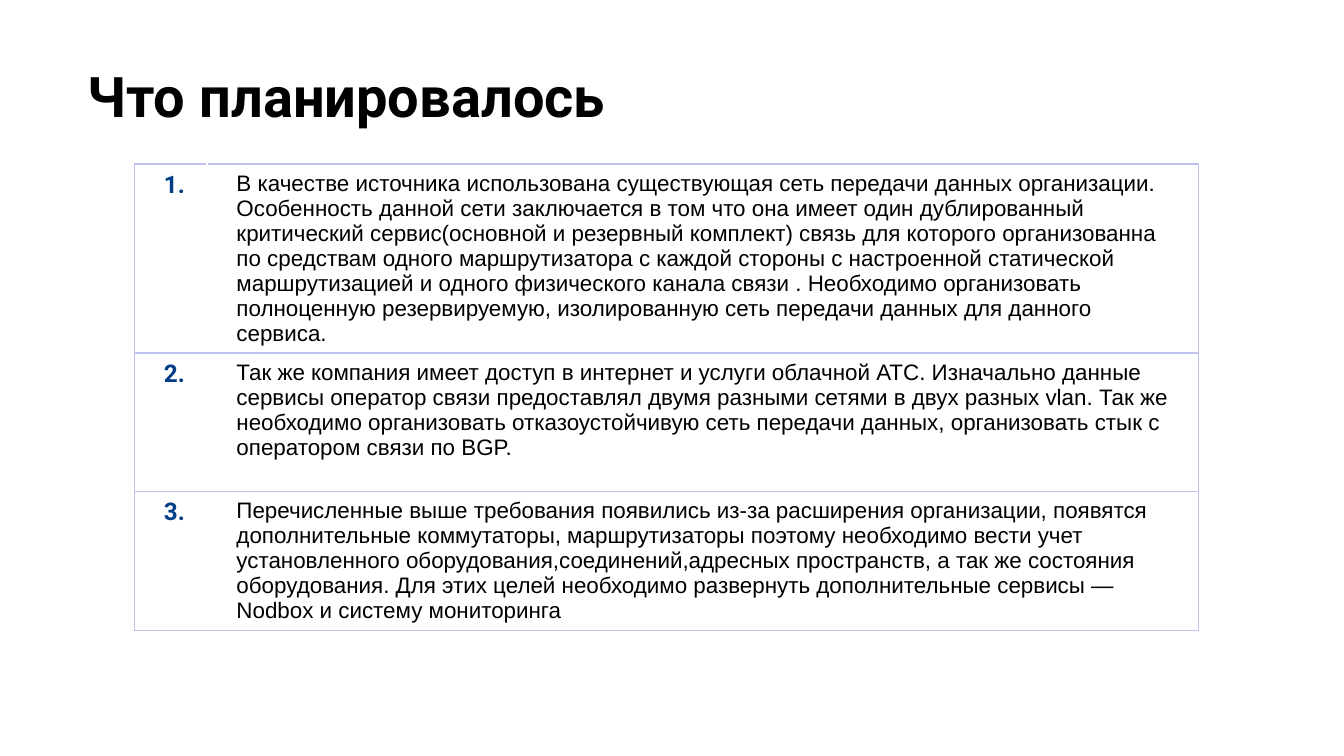
from dataclasses import dataclass
from lxml import etree
from pptx import Presentation
from pptx.dml.color import RGBColor
from pptx.enum.text import MSO_ANCHOR, MSO_AUTO_SIZE, PP_ALIGN
from pptx.oxml.ns import qn
from pptx.util import Inches, Pt

TOP = MSO_ANCHOR.TOP
LEFT = PP_ALIGN.LEFT
FIXED = MSO_AUTO_SIZE.NONE

TITLE = "Что планировалось"
PLANS = [
    "В качестве источника использована существующая сеть передачи данных "
    "организации. Особенность данной сети заключается в том что она имеет один "
    "дублированный критический сервис(основной и резервный комплект) связь для "
    "которого организованна по средствам одного маршрутизатора с каждой стороны "
    "с настроенной статической маршрутизацией и одного физического канала связи . "
    "Необходимо организовать полноценную резервируемую, изолированную сеть "
    "передачи данных для данного сервиса.",
    "Так же компания имеет доступ в интернет и услуги облачной АТС. Изначально "
    "данные сервисы оператор связи предоставлял двумя разными сетями в двух разных "
    "vlan. Так же необходимо организовать отказоустойчивую сеть передачи данных, "
    "организовать стык с оператором связи по BGP.",
    "Перечисленные выше требования появились из-за расширения организации, "
    "появятся дополнительные коммутаторы, маршрутизаторы поэтому необходимо вести "
    "учет установленного оборудования,соединений,адресных пространств, а так же "
    "состояния оборудования. Для этих целей необходимо развернуть дополнительные "
    "сервисы — Nodbox и систему мониторинга",
]


@dataclass(frozen=True)
class Theme:
    ink: str = "000000"
    navy: str = "013D85"
    rule: str = "BFC1F0"
    white: str = "FFFFFF"
    head: str = "Roboto"
    body: str = "Arial"
    title: int = 30
    mark: int = 13
    text: int = 12
    line: float = 0.75


LOOK = Theme()
WIDE = 10
HIGH = WIDE * 9 / 16
HEAD = (0.55, 0.36, 9.32, 1.2)
GRID = (1, 1.22)
COLS = (0.54, 7.38)
ROWS = (1.4, 1.03, 1.03)


def write(frame, text, font=LOOK.body, size=LOOK.text, color=LOOK.ink, bold=False):
    para = frame.paragraphs[0]
    para.alignment = LEFT
    run = para.add_run()
    run.text = text
    run.font.name = font
    run.font.size = Pt(size)
    run.font.bold = bold
    run.font.color.rgb = RGBColor.from_string(color)


def edge(cell, side, color):
    line = etree.SubElement(cell._tc.get_or_add_tcPr(), qn("a:ln" + side),
                            w=str(Pt(LOOK.line)))
    fill = etree.SubElement(line, qn("a:solidFill"))
    etree.SubElement(fill, qn("a:srgbClr"), val=color)


def style(cell, first):
    cell.margin_left, cell.margin_right = Inches(0.22), Inches(0.1)
    cell.margin_top = cell.margin_bottom = Inches(0.05)
    cell.vertical_anchor = TOP
    edge(cell, "L", LOOK.rule if first else LOOK.white)
    edge(cell, "R", LOOK.white if first else LOOK.rule)
    for side in "TB":
        edge(cell, side, LOOK.rule)
    cell.fill.background()


def add_head(slide):
    head = slide.shapes.title
    head.left, head.top, head.width, head.height = map(Inches, HEAD)
    frame = head.text_frame
    frame.word_wrap = True
    frame.auto_size = FIXED
    frame.vertical_anchor = TOP
    frame.margin_left = frame.margin_right = Inches(0.1)
    frame.margin_top = frame.margin_bottom = Inches(0.1)
    write(frame, TITLE, font=LOOK.head, size=LOOK.title, bold=True)


def add_plans(slide):
    box = map(Inches, (*GRID, sum(COLS), sum(ROWS)))
    table = slide.shapes.add_table(len(PLANS), len(COLS), *box).table
    table.first_row = table.horz_banding = False
    for col, width in zip(table.columns, COLS):
        col.width = Inches(width)
    for num, (row, high, plan) in enumerate(zip(table.rows, ROWS, PLANS), 1):
        row.height = Inches(high)
        mark, text = row.cells
        style(mark, True)
        style(text, False)
        write(mark.text_frame, f"{num}.", font=LOOK.head, size=LOOK.mark,
              color=LOOK.navy, bold=True)
        write(text.text_frame, plan)


def main():
    deck = Presentation()
    deck.slide_width, deck.slide_height = Inches(WIDE), Inches(HIGH)
    slide = deck.slides.add_slide(deck.slide_layouts[5])
    add_head(slide)
    add_plans(slide)
    deck.save("out.pptx")


if __name__ == "__main__":
    main()
